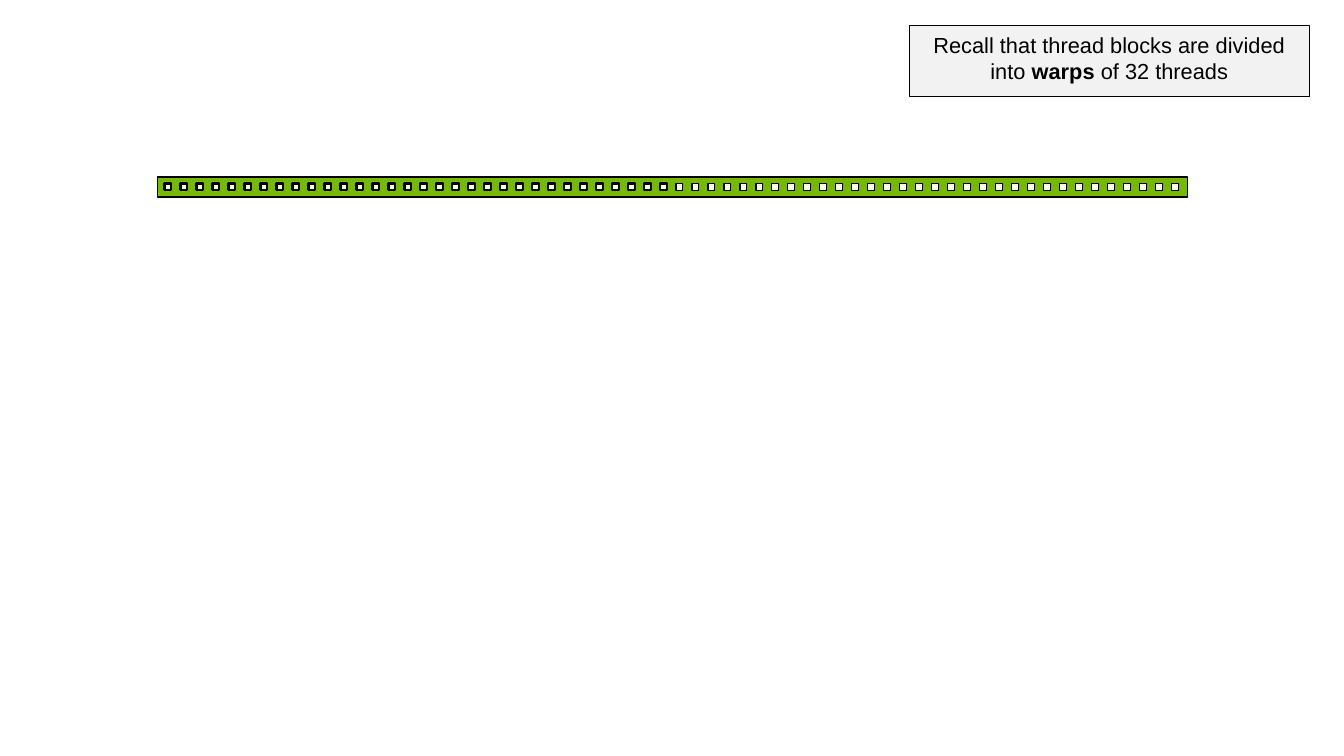
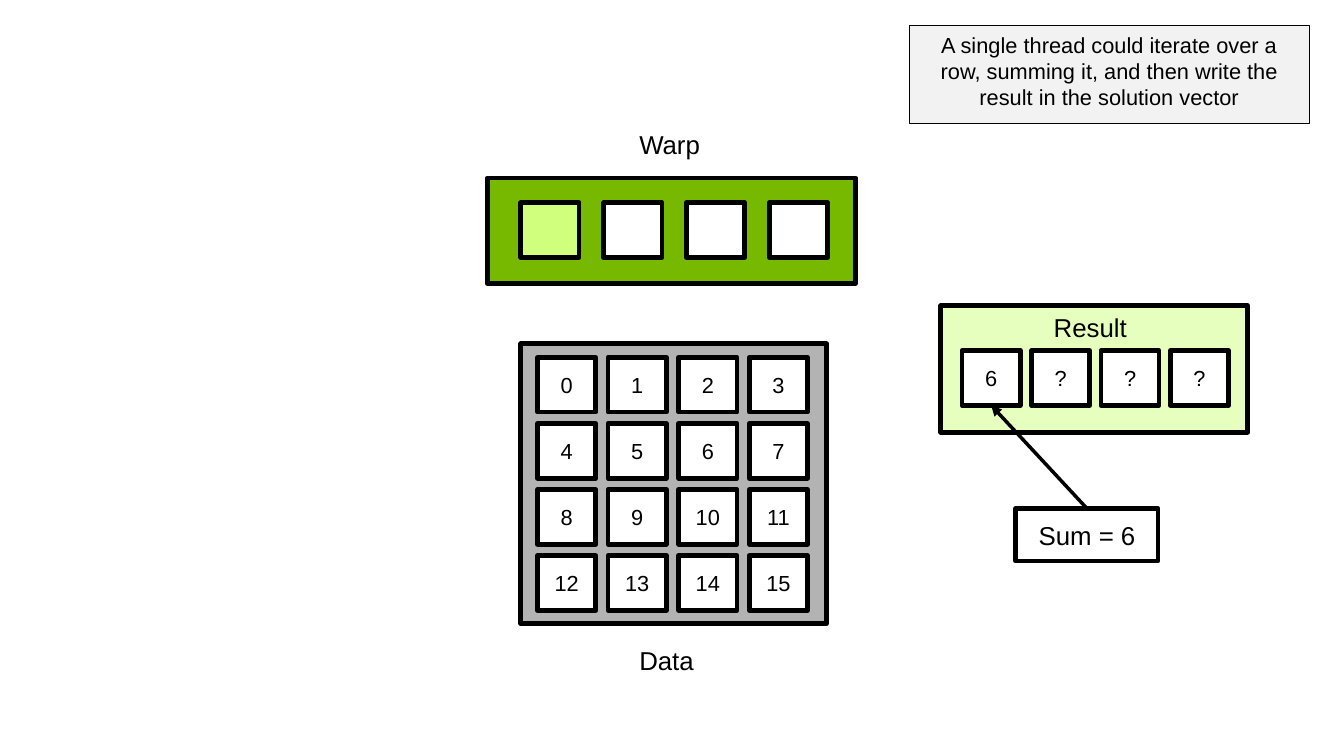
from dataclasses import dataclass

from lxml import etree
from pptx import Presentation
from pptx.dml.color import RGBColor
from pptx.enum.shapes import MSO_CONNECTOR, MSO_SHAPE
from pptx.enum.text import MSO_ANCHOR, PP_ALIGN
from pptx.oxml.ns import qn
from pptx.shapes.autoshape import Shape
from pptx.shapes.connector import Connector
from pptx.shapes.shapetree import GroupShapes, SlideShapes
from pptx.slide import Slide
from pptx.text.text import TextFrame
from pptx.util import Inches, Pt

RECTANGLE = MSO_SHAPE.RECTANGLE
STRAIGHT = MSO_CONNECTOR.STRAIGHT
CENTER = PP_ALIGN.CENTER
LEFT = PP_ALIGN.LEFT
TOP = MSO_ANCHOR.TOP
MIDDLE = MSO_ANCHOR.MIDDLE

BLACK = RGBColor(0x00, 0x00, 0x00)
WHITE = RGBColor(0xFF, 0xFF, 0xFF)
NOTE_GRAY = RGBColor(0xF2, 0xF2, 0xF2)
DATA_GRAY = RGBColor(0xB3, 0xB3, 0xB3)
WARP_GREEN = RGBColor(0x76, 0xB9, 0x00)
ACTIVE_GREEN = RGBColor(0xD0, 0xFF, 0x7D)
RESULT_GREEN = RGBColor(0xE7, 0xFF, 0xBE)

FONT = "Arial"
BODY_SIZE = 14
LABEL_SIZE = 16.6
THIN, MEDIUM, THICK = 0.75, 1.5, 3
BLANK_LAYOUT = 6

CELL_WIDTH, CELL_HEIGHT = 0.52, 0.49
GRID_SIZE = 4
WARP_SIZE = 32
BLOCK_SIZE = 2 * WARP_SIZE
THREAD_SIDE = 0.06
FIRST_THREAD, LAST_THREAD = 1.47, 10.46

Shapes = SlideShapes | GroupShapes


@dataclass(frozen=True)
class Box:
    """A rectangle in inches."""
    left: float
    top: float
    width: float
    height: float

    def lengths(self) -> tuple[Inches, Inches, Inches, Inches]:
        return (Inches(self.left), Inches(self.top),
                Inches(self.width), Inches(self.height))


@dataclass(frozen=True)
class TextRun:
    text: str
    bold: bool = False


@dataclass(frozen=True)
class Label:
    text: str
    box: Box


LABELS = (
    Label("Warp", Box(5.61, 1.1, 0.79, 0.38)),
    Label("Data", Box(5.61, 5.71, 0.79, 0.38)),
    Label("Result", Box(9.31, 2.73, 0.91, 0.38)),
)


def add_rectangle(shapes: Shapes, box: Box, fill: RGBColor | None,
                  line_width: float) -> Shape:
    shape = shapes.add_shape(RECTANGLE, *box.lengths())
    shape.shadow.inherit = False
    if fill is None:
        shape.fill.background()
    else:
        shape.fill.solid()
        shape.fill.fore_color.rgb = fill
    shape.line.color.rgb = BLACK
    shape.line.width = Pt(line_width)
    return shape


def write_text(frame: TextFrame, runs: list[TextRun], size: float,
               alignment: PP_ALIGN = CENTER,
               anchor: MSO_ANCHOR = MIDDLE) -> None:
    frame.word_wrap = True
    frame.vertical_anchor = anchor
    paragraph = frame.paragraphs[0]
    paragraph.alignment = alignment
    for text_run in runs:
        run = paragraph.add_run()
        run.text = text_run.text
        run.font.name = FONT
        run.font.size = Pt(size)
        run.font.bold = text_run.bold
        run.font.color.rgb = BLACK


def add_cell(shapes: Shapes, left: float, top: float, text: str = "",
             fill: RGBColor = WHITE) -> Shape:
    cell = add_rectangle(shapes, Box(left, top, CELL_WIDTH, CELL_HEIGHT),
                         fill, THICK)
    if text:
        frame = cell.text_frame
        frame.margin_left = frame.margin_right = Inches(0)
        write_text(frame, [TextRun(text)], BODY_SIZE)
    return cell


def add_note(slide: Slide, height: float, runs: list[TextRun]) -> None:
    """Add the remark in the top right corner."""
    note = add_rectangle(slide.shapes, Box(8.12, 0.23, 3.57, height),
                         NOTE_GRAY, THIN)
    write_text(note.text_frame, runs, BODY_SIZE, anchor=TOP)


def add_label(slide: Slide, label: Label) -> None:
    text_box = slide.shapes.add_textbox(*label.box.lengths())
    write_text(text_box.text_frame, [TextRun(label.text)], LABEL_SIZE,
               LEFT, TOP)


def add_arrow(slide: Slide, source: Shape, target: Shape) -> Connector:
    """Point from the top of the source to the bottom of the target."""
    arrow = slide.shapes.add_connector(STRAIGHT, 0, 0, 0, 0)
    arrow.begin_connect(source, 0)
    arrow.end_connect(target, 2)
    arrow.line.color.rgb = BLACK
    arrow.line.width = Pt(2.25)
    line = arrow.line._get_or_add_ln()
    etree.SubElement(line, qn("a:tailEnd"), type="triangle")
    etree.SubElement(arrow._element.spPr, qn("a:effectLst"))
    return arrow


def add_warp(slide: Slide) -> None:
    shapes = slide.shapes.add_group_shape().shapes
    add_rectangle(shapes, Box(4.35, 1.59, 3.29, 0.94), WARP_GREEN, THICK)
    for index in range(GRID_SIZE):
        fill = ACTIVE_GREEN if index == 0 else WHITE
        add_cell(shapes, 4.65 + 0.74 * index, 1.81, fill=fill)


def add_data(slide: Slide) -> None:
    shapes = slide.shapes.add_group_shape().shapes
    add_rectangle(shapes, Box(4.65, 3.07, 2.73, 2.5), DATA_GRAY, THICK)
    for value in range(GRID_SIZE ** 2):
        row, column = divmod(value, GRID_SIZE)
        add_cell(shapes, 4.8 + 0.63 * column, 3.19 + 0.59 * row, str(value))


def add_result(slide: Slide) -> list[Shape]:
    add_rectangle(slide.shapes, Box(8.4, 2.73, 2.74, 1.13),
                  RESULT_GREEN, THICK)
    return [add_cell(slide.shapes, 8.59 + 0.62 * index, 3.13, text)
            for index, text in enumerate("6???")]


def build_thread_block_slide(slide: Slide) -> None:
    add_rectangle(slide.shapes, Box(1.41, 1.58, 9.19, 0.18),
                  WARP_GREEN, THIN)
    pitch = (LAST_THREAD - FIRST_THREAD) / (BLOCK_SIZE - 1)
    for index in range(BLOCK_SIZE):
        thread = Box(FIRST_THREAD + pitch * index, 1.64,
                     THREAD_SIDE, THREAD_SIDE)
        add_rectangle(slide.shapes, thread, WHITE,
                      MEDIUM if index < WARP_SIZE else THIN)
    add_note(slide, 0.63, [
        TextRun("Recall that thread blocks are divided into "),
        TextRun("warps", bold=True),
        TextRun(" of 32 threads"),
    ])


def build_row_sum_slide(slide: Slide) -> None:
    add_note(slide, 0.87, [TextRun(
        "A single thread could iterate over a row, summing it, "
        "and then write the result in the solution vector")])
    add_warp(slide)
    add_data(slide)
    result_cells = add_result(slide)
    for label in LABELS:
        add_label(slide, label)
    sum_box = add_rectangle(slide.shapes, Box(9.07, 4.54, 1.27, 0.47),
                            None, THICK)
    write_text(sum_box.text_frame, [TextRun("Sum = 6")], LABEL_SIZE)
    add_arrow(slide, sum_box, result_cells[0])


def main() -> None:
    presentation = Presentation()
    presentation.slide_width = Inches(12)
    presentation.slide_height = Inches(6.75)
    layout = presentation.slide_layouts[BLANK_LAYOUT]
    for build_slide in (build_thread_block_slide, build_row_sum_slide):
        build_slide(presentation.slides.add_slide(layout))
    presentation.save("out.pptx")


if __name__ == "__main__":
    main()
